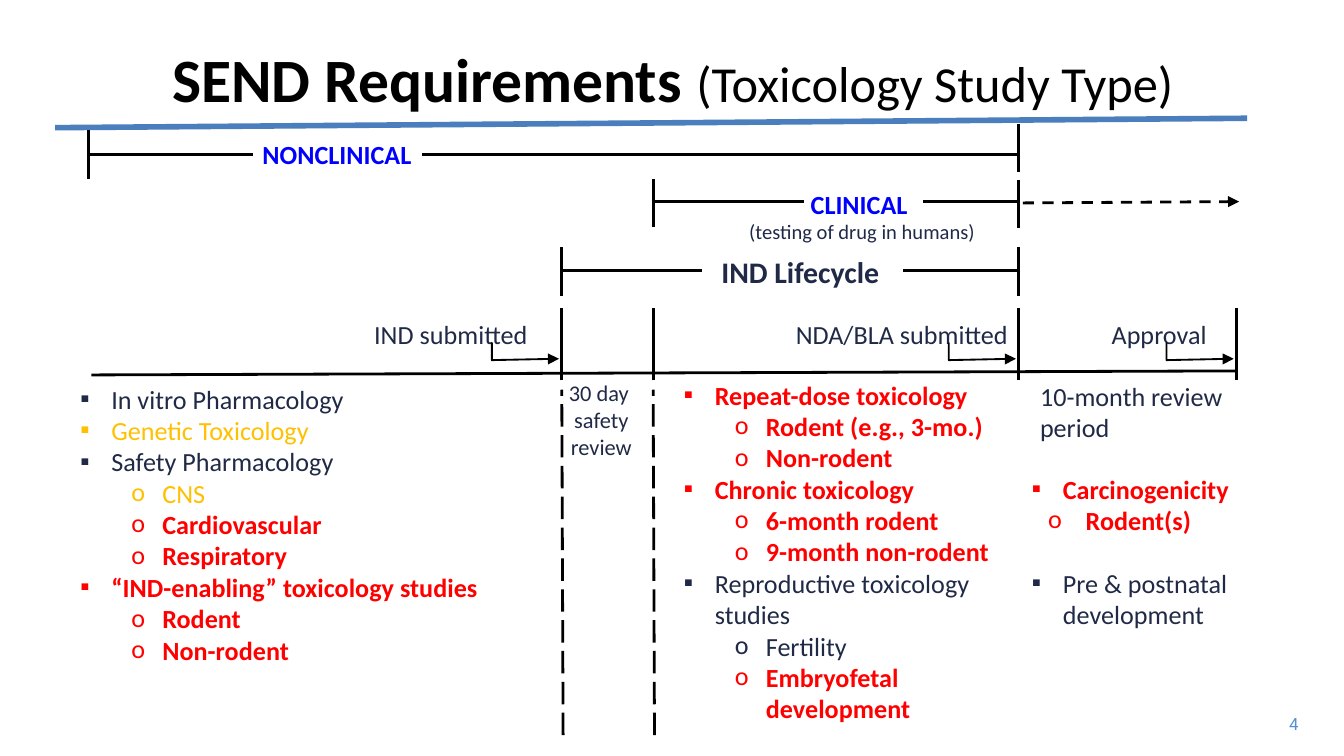
import pptx
import pptx.dml.color
import pptx.enum.dml
import pptx.enum.shapes
import pptx.enum.text
import pptx.util
from lxml import etree
from pptx.oxml.ns import qn
from pptx.util import Inches

BLACK, NAVY, RED = "000000", "202A46", "FF0000"
BLUE, GOLD, RULE, PAGE = "0000FF", "FFC000", "4B7EBC", "558ED5"
ALIGN = pptx.enum.text.PP_ALIGN
DASH = pptx.enum.dml.MSO_LINE

# Bullet character, left margin and hanging indent of each list level
TOPIC = ("▪", 0.23, 0.23)
DETAIL = ("o", 0.61, 0.23)
NEAR_DETAIL = ("o", 0.4, 0.28)

# Milestones on the time axis
START, IND, TRIALS, NDA, APPROVAL = 0.66, 4.18, 4.86, 7.58, 9.2

IND_STUDIES = [
    (TOPIC, "In vitro Pharmacology", NAVY),
    (TOPIC, "Genetic Toxicology", GOLD),
    (TOPIC, "Safety Pharmacology", NAVY),
    (DETAIL, "CNS", GOLD),
    (DETAIL, "Cardiovascular", RED),
    (DETAIL, "Respiratory", RED),
    (TOPIC, "“IND-enabling” toxicology studies", RED),
    (DETAIL, "Rodent", RED),
    (DETAIL, "Non-rodent", RED),
]
NDA_STUDIES = [
    (TOPIC, "Repeat-dose toxicology", RED),
    (DETAIL, "Rodent (e.g., 3-mo.)", RED),
    (DETAIL, "Non-rodent", RED),
    (TOPIC, "Chronic toxicology", RED),
    (DETAIL, "6-month rodent", RED),
    (DETAIL, "9-month non-rodent", RED),
    (TOPIC, "Reproductive toxicology studies", NAVY),
    (DETAIL, "Fertility", NAVY),
    (DETAIL, "Embryofetal development", RED),
]
REVIEW_STUDIES = [
    (TOPIC, "Carcinogenicity", RED),
    (NEAR_DETAIL, "Rodent(s)", RED),
    (TOPIC, "Pre & postnatal development", NAVY),
]


def rgb(value):
    return pptx.dml.color.RGBColor.from_string(value)


def add_frame(slide, box, wrap=True):
    frame = slide.shapes.add_textbox(*map(Inches, box)).text_frame
    frame.word_wrap = wrap
    return frame


def next_paragraph(frame):
    first = frame.paragraphs[0]
    return frame.add_paragraph() if first.runs else first


def add_run(paragraph, text, size=14, color=NAVY, bold=False, font="Calibri"):
    run = paragraph.add_run()
    run.text = text
    run.font.name = font
    run.font.size = pptx.util.Pt(size)
    run.font.bold = bold
    run.font.color.rgb = rgb(color)


def add_line_of_text(frame, text, align=ALIGN.CENTER, **style):
    paragraph = next_paragraph(frame)
    paragraph.alignment = align
    add_run(paragraph, text, **style)


def add_label(slide, box, text, wrap=True, **style):
    frame = add_frame(slide, box, wrap)
    add_line_of_text(frame, text, **style)
    return frame


def add_study_list(slide, box, studies):
    frame = add_frame(slide, box)
    for (bullet, margin, hanging), text, color in studies:
        paragraph = next_paragraph(frame)
        properties = paragraph._p.get_or_add_pPr()
        properties.set("marL", str(Inches(margin)))
        properties.set("indent", str(-Inches(hanging)))
        etree.SubElement(properties, qn("a:buFont")).set("typeface", "Calibri")
        etree.SubElement(properties, qn("a:buChar")).set("char", bullet)
        add_run(paragraph, text, color=color, bold=color == RED)
    return frame


def style_line(line, color, width, dash=None, arrow=False):
    line.color.rgb = rgb(color)
    line.width = pptx.util.Pt(width)
    if dash:
        line.dash_style = dash
    if arrow:
        etree.SubElement(line._get_or_add_ln(), qn("a:tailEnd")).set("type", "triangle")


def add_line(slide, x1, y1, x2, y2, color=BLACK, width=1.5, **style):
    connector = slide.shapes.add_connector(
        pptx.enum.shapes.MSO_CONNECTOR.STRAIGHT, *map(Inches, (x1, y1, x2, y2)))
    style_line(connector.line, color, width, **style)
    etree.SubElement(connector._element.spPr, qn("a:effectLst"))


def add_span(slide, y, left, right, gap_left, gap_right, left_tick, right_tick):
    """A phase bar with end ticks and a gap for its label."""
    add_line(slide, left, y, gap_left, y)
    add_line(slide, gap_right, y, right, y)
    for x, top in ((left, left_tick), (right, right_tick)):
        add_line(slide, x, top, x, top + 0.36)


def add_elbow_arrow(slide, milestone):
    left, right = milestone - 0.52, milestone - 0.02
    builder = slide.shapes.build_freeform(Inches(left), Inches(2.55))
    builder.add_line_segments(
        [(Inches(left), Inches(2.68)), (Inches(right), Inches(2.67))], close=False)
    elbow = builder.convert_to_shape()
    elbow.shadow.inherit = False
    elbow.fill.background()
    style_line(elbow.line, BLACK, 1, arrow=True)


def main():
    deck = pptx.Presentation()
    # Widescreen, 16 to 9
    deck.slide_width, deck.slide_height = Inches(10), Inches(10 * 9 / 16)
    slide = deck.slides.add_slide(deck.slide_layouts[6])

    # Title, rule and page number
    title = add_label(slide, (0.35, 0.2, 9.31, 0.76), "SEND Requirements ",
                      size=33, color=BLACK, bold=True)
    title.vertical_anchor = pptx.enum.text.MSO_ANCHOR.MIDDLE
    add_run(title.paragraphs[0], "(Toxicology Study Type)", size=27, color=BLACK)
    add_line(slide, 0.41, 0.95, 9.28, 0.88, color=RULE, width=3)
    add_label(slide, (9.4, 5.26, 0.36, 0.25), "4", align=ALIGN.RIGHT, wrap=False,
              size=9, color=PAGE, font="Roboto")

    # Phase bars
    add_span(slide, 1.15, START, NDA, 1.88, 3.14, 0.97, 0.92)
    add_span(slide, 1.5, TRIALS, NDA, 5.98, 6.87, 1.33, 1.34)
    add_span(slide, 2.01, IND, NDA, 5.22, 6.72, 1.84, 1.84)
    add_line(slide, 7.61, 1.51, 9.22, 1.5, dash=DASH.DASH, arrow=True)
    add_label(slide, (1.11, 0.98, 2.84, 0.34), "NONCLINICAL ", color=BLUE, bold=True)
    clinical = add_label(slide, (4.46, 1.35, 3.91, 0.52), "CLINICAL ",
                         color=BLUE, bold=True)
    add_line_of_text(clinical, "(testing of drug in humans)", size=11)
    add_label(slide, (4.56, 1.84, 2.84, 0.37), "IND Lifecycle ", size=16, bold=True)

    # Time axis with its milestones
    add_line(slide, 0.68, 2.79, APPROVAL, 2.76)
    for milestone in (IND, TRIALS, NDA, APPROVAL):
        add_line(slide, milestone, 2.83, milestone, 2.29)
    for milestone in (IND, TRIALS):
        add_line(slide, milestone + 0.01, 5.47, milestone, 2.9, dash=DASH.LONG_DASH)
    for text, left, width, milestone in (("IND submitted", 2.59, 1.53, IND),
                                         ("NDA/BLA submitted", 5.8, 1.82, NDA),
                                         ("Approval", 8.05, 1.15, APPROVAL)):
        add_label(slide, (left, 2.32, width, 0.34), text)
        add_elbow_arrow(slide, milestone)

    # Review periods
    safety = add_label(slide, (3.96, 2.77, 1.03, 0.71), "30 day ", size=12)
    add_line_of_text(safety, "safety review", size=12)
    add_label(slide, (7.64, 2.78, 1.64, 0.57), "10-month review period",
              align=ALIGN.LEFT)

    # Studies due in each period
    add_study_list(slide, (0.5, 2.8, 3.6, 2.46), IND_STUDIES)
    add_study_list(slide, (4.99, 2.77, 2.55, 3.11), NDA_STUDIES)
    review = add_study_list(slide, (7.58, 3.47, 2.01, 1.7), REVIEW_STUDIES)
    review.paragraphs[-1].space_before = pptx.util.Pt(17)

    deck.save("out.pptx")


if __name__ == "__main__":
    main()
